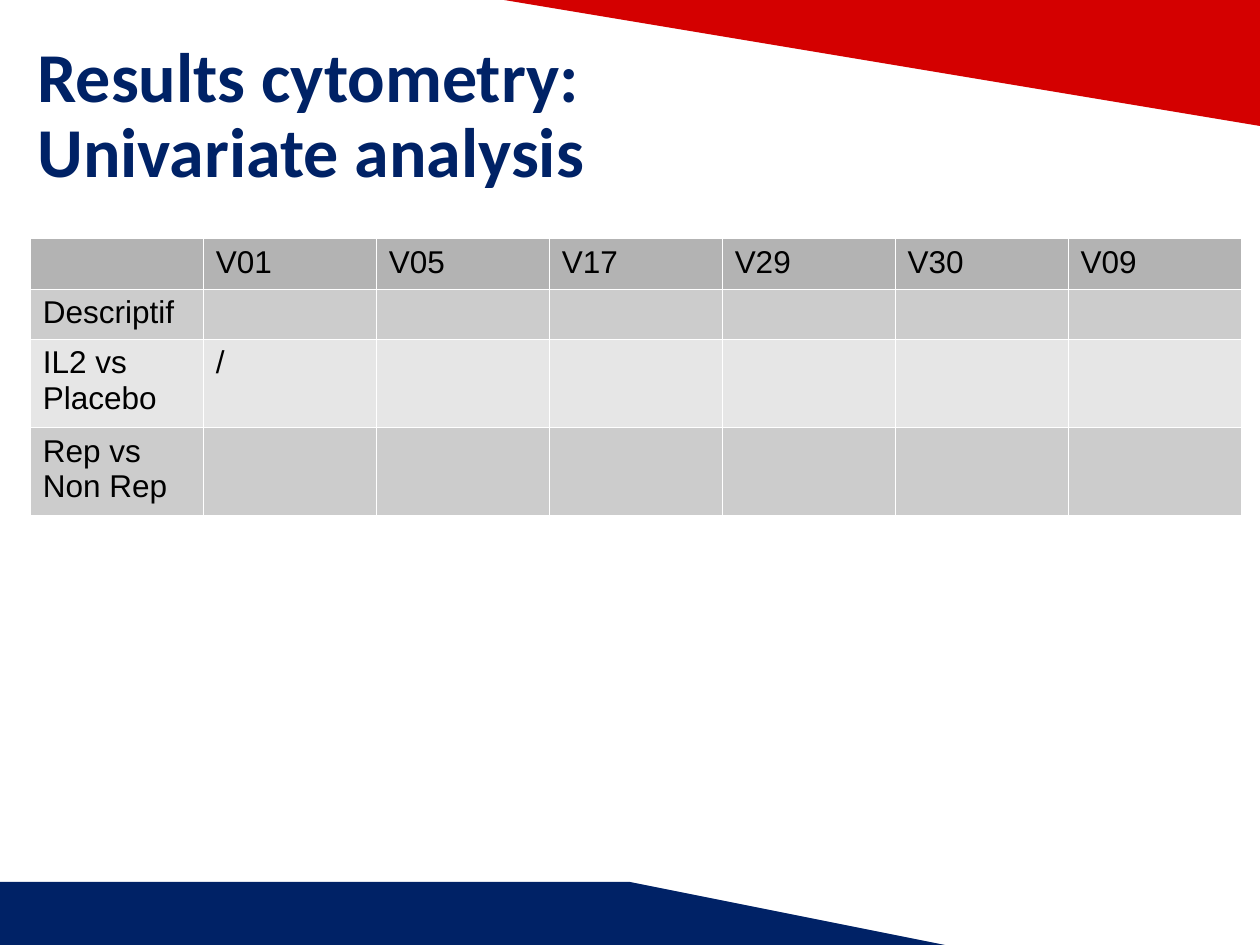
import dataclasses

import lxml.etree
import pptx
import pptx.dml.color
import pptx.enum.text
import pptx.oxml.ns
import pptx.util


@dataclasses.dataclass(frozen=True)
class Theme:
    navy: str = "002266"
    red: str = "D40000"
    header: str = "B3B3B3"
    bands: tuple = ("CCCCCC", "E6E6E6")
    border: str = "FFFFFF"
    text: str = "000000"
    title_size: int = 40
    table_size: int = 18


theme = Theme()
presentation = pptx.Presentation()
presentation.slide_width = pptx.util.Inches(10)
presentation.slide_height = pptx.util.Inches(7.5)
slide = presentation.slides.add_slide(presentation.slide_layouts[6])


def add_band(points, color):
    """Draw a filled outline through points given in inches."""
    builder = slide.shapes.build_freeform(*points[0], scale=pptx.util.Inches(1))
    builder.add_line_segments(points[1:], close=True)
    shape = builder.convert_to_shape()
    shape.shadow.inherit = False
    shape.fill.solid()
    shape.fill.fore_color.rgb = pptx.dml.color.RGBColor.from_string(color)
    shape.line.fill.background()


def style_font(paragraph, name, size, color, bold=False):
    """Set the font shared by all runs of a paragraph."""
    font = paragraph.font
    font.name, font.size, font.bold = name, pptx.util.Pt(size), bold
    font.color.rgb = pptx.dml.color.RGBColor.from_string(color)


# Footer: a Bezier curve sampled in equal steps, then straight edges
controls = ((0, 6.92), (1.79, 7.06), (3.45, 7.24), (5.38, 7.34))
steps = 24
curve = []
for step in range(steps + 1):
    t = step / steps
    weights = ((1 - t) ** 3, 3 * t * (1 - t) ** 2, 3 * t**2 * (1 - t), t**3)
    curve.append(tuple(sum(w * point[axis] for w, point in zip(weights, controls))
                       for axis in (0, 1)))
add_band(curve + [(10, 7.5), (0, 7.5)], theme.navy)
add_band([(0, 0), (10, 0), (10, 0.54), (3.82, 0.18)], theme.red)

# Title
title = slide.shapes.add_textbox(*map(pptx.util.Inches, (0.2, 0.52, 8.62, 0.82)))
title_frame = title.text_frame
title_frame.word_wrap = True
title_frame.vertical_anchor = pptx.enum.text.MSO_ANCHOR.MIDDLE
title_frame.text = "Results\u00a0cytometry:\nUnivariate analysis"
for paragraph in title_frame.paragraphs:
    paragraph.line_spacing = 0.9
    style_font(paragraph, "Calibri", theme.title_size, theme.navy, bold=True)

# Table
rows = (
    ("", "V01", "V05", "V17", "V29", "V30", "V09"),
    ("Descriptif",),
    ("IL2 vs Placebo", "/"),
    ("Rep vs Non Rep",),
)
row_heights = (0.38, 0.38, 0.66, 0.66)
column_count = len(rows[0])
table = slide.shapes.add_table(
    len(rows), column_count,
    *map(pptx.util.Inches, (0.24, 1.89, 9.61, sum(row_heights)))).table
table.first_row = table.horz_banding = False
for row_index, (texts, height) in enumerate(zip(rows, row_heights)):
    table.rows[row_index].height = pptx.util.Inches(height)
    fill = theme.bands[(row_index - 1) % 2] if row_index else theme.header
    for column_index in range(column_count):
        cell = table.cell(row_index, column_index)
        cell.text = texts[column_index] if column_index < len(texts) else ""
        style_font(cell.text_frame.paragraphs[0], "Arial", theme.table_size, theme.text)
        properties = cell._tc.get_or_add_tcPr()
        for side in ("a:lnL", "a:lnR", "a:lnT", "a:lnB"):
            line = lxml.etree.SubElement(
                properties, pptx.oxml.ns.qn(side), w=str(pptx.util.Pt(0.06)))
            solid = lxml.etree.SubElement(line, pptx.oxml.ns.qn("a:solidFill"))
            lxml.etree.SubElement(solid, pptx.oxml.ns.qn("a:srgbClr"), val=theme.border)
        cell.fill.solid()
        cell.fill.fore_color.rgb = pptx.dml.color.RGBColor.from_string(fill)

presentation.save("out.pptx")
